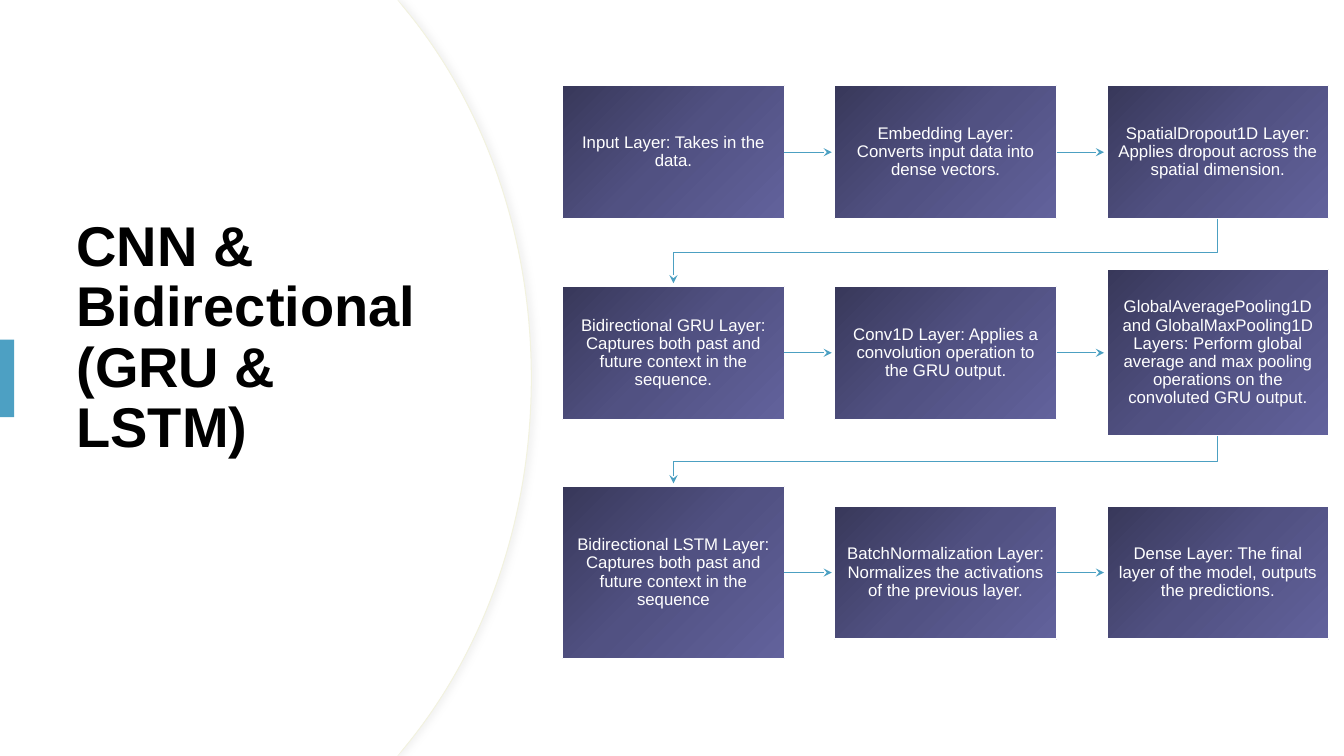
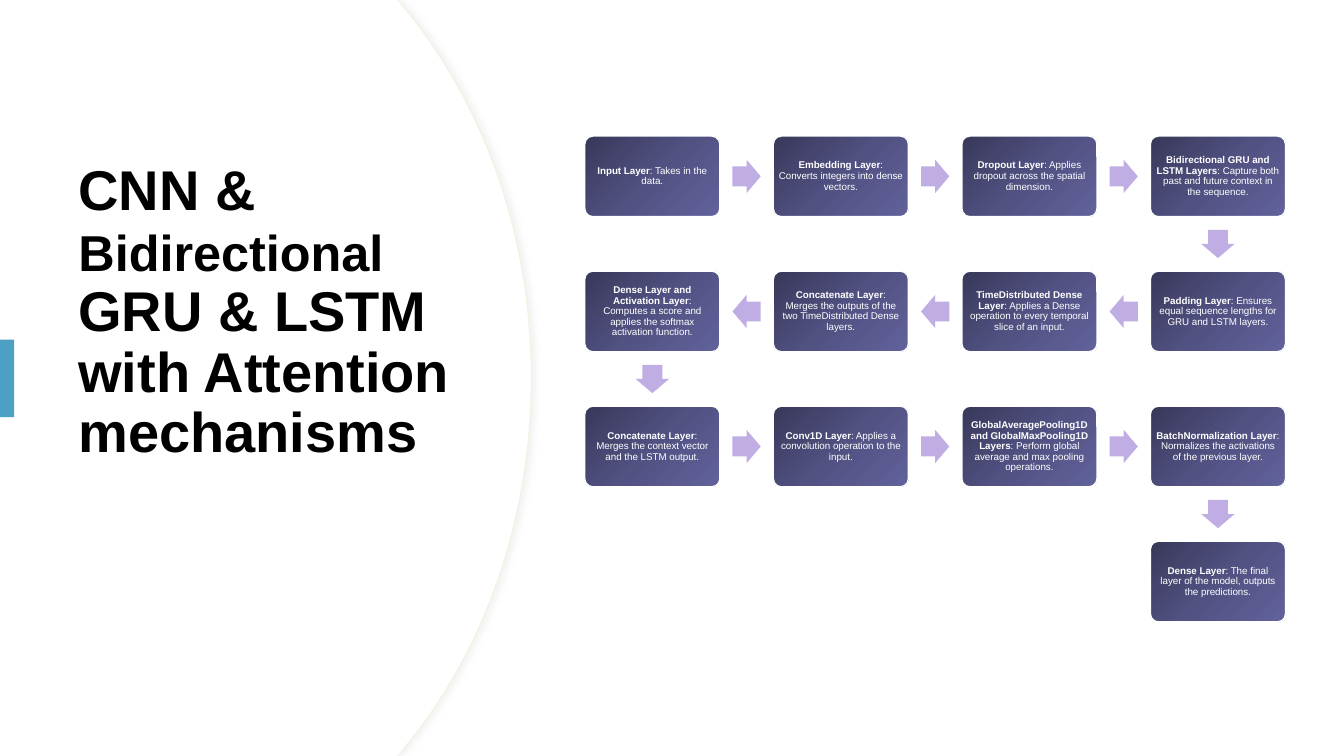
from copy import deepcopy

from lxml import etree
from pptx import Presentation
from pptx import util as u
from pptx.dml.color import RGBColor
from pptx.enum import shapes, text
from pptx.oxml.ns import qn

WHITE = RGBColor(0xFF, 0xFF, 0xFF)
BLACK = RGBColor(0, 0, 0)
CREAM = RGBColor(0xF2, 0xF2, 0xDF)
TEAL = RGBColor(0x4D, 0xA0, 0xC3)
LINE_BLUE = RGBColor(0x4C, 0xA0, 0xC2)
LILAC = RGBColor(0xBF, 0xAD, 0xE3)
BOX_STOPS = [RGBColor(0x38, 0x38, 0x5A), RGBColor(0x51, 0x51, 0x82),
             RGBColor(0x62, 0x62, 0x9C)]
SHADOW = "D8D8D8"
FONT = "Arial"

SLIDE_W, SLIDE_H = 13.33, 7.5
ARC = [(4.01, 0.08), (4.79, 1.02), (5.27, 2.32), (5.27, 3.75)]
ARC_TOP_X = 3.94

FLOW_LEFT, FLOW_PITCH, FLOW_W, FLOW_H = 5.58, 2.7, 2.2, 1.32
ARROW_GAP = 0.03
RETURN_BEND = 0.53
FLOW_ROWS = [
    (1.51, [
        ("Input Layer: Takes in the data.", FLOW_H),
        ("Embedding Layer: Converts input data into dense vectors.", FLOW_H),
        ("SpatialDropout1D Layer: Applies dropout across the spatial "
         "dimension.", FLOW_H)]),
    (3.5, [
        ("Bidirectional GRU Layer: Captures both past and future context in "
         "the sequence.", FLOW_H),
        ("Conv1D Layer: Applies a convolution operation to the GRU output.",
         FLOW_H),
        ("GlobalAveragePooling1D and GlobalMaxPooling1D Layers: Perform "
         "global average and max pooling operations on the convoluted GRU "
         "output.", 1.65)]),
    (5.68, [
        ("Bidirectional LSTM Layer: Captures both past and future context in "
         "the sequence", 1.71),
        ("BatchNormalization Layer: Normalizes the activations of the "
         "previous layer.", FLOW_H),
        ("Dense Layer: The final layer of the model, outputs the "
         "predictions.", FLOW_H)]),
]

SNAKE_COLS = 4
SNAKE_LEFT, SNAKE_TOP = 5.8, 1.35
SNAKE_DX, SNAKE_DY = 1.87, 1.34
SNAKE_W, SNAKE_H = 1.34, 0.8
ARROW_W, ARROW_H = 0.28, 0.33
SNAKE_STEPS = [
    ("Input Layer", "Takes in the data."),
    ("Embedding Layer", "Converts integers into dense vectors."),
    ("Dropout Layer", "Applies dropout across the spatial dimension."),
    ("Bidirectional GRU and LSTM Layers",
     "Capture both past and future context in the sequence."),
    ("Padding Layer", "Ensures equal sequence lengths for GRU and LSTM layers."),
    ("TimeDistributed Dense Layer",
     "Applies a Dense operation to every temporal slice of an input."),
    ("Concatenate Layer",
     "Merges the outputs of the two TimeDistributed Dense layers."),
    ("Dense Layer and Activation Layer",
     "Computes a score and applies the softmax activation function."),
    ("Concatenate Layer", "Merges the context vector and the LSTM output."),
    ("Conv1D Layer", "Applies a convolution operation to the input."),
    ("GlobalAveragePooling1D and GlobalMaxPooling1D Layers",
     "Perform global average and max pooling operations."),
    ("BatchNormalization Layer",
     "Normalizes the activations of the previous layer."),
    ("Dense Layer", "The final layer of the model, outputs the predictions."),
]


def inches(*values):
    return [u.Inches(v) for v in values]


def write(sp, runs, size, color=WHITE, align=text.PP_ALIGN.CENTER,
          inset=(0.11, 0.11)):
    tf = sp.text_frame
    tf.word_wrap = True
    tf.vertical_anchor = text.MSO_ANCHOR.MIDDLE
    tf.margin_left = tf.margin_right = u.Inches(inset[0])
    tf.margin_top = tf.margin_bottom = u.Inches(inset[1])
    p = tf.paragraphs[0]
    p.alignment = align
    p.line_spacing = 0.9
    for words, bold, run_size in runs:
        for i, part in enumerate(words.split("\n")):
            if i:
                p.add_line_break()
            r = p.add_run()
            r.text = part
            r.font.name = FONT
            r.font.size = u.Pt(run_size or size)
            r.font.bold = bold
            r.font.color.rgb = color


def add_solid(s, kind, x, y, w, h, color):
    sp = s.shapes.add_shape(kind, *inches(x, y, w, h))
    sp.shadow.inherit = False
    sp.fill.solid()
    sp.fill.fore_color.rgb = color
    sp.line.fill.background()
    return sp


def add_box(s, kind, x, y, w, h):
    sp = add_solid(s, kind, x, y, w, h, WHITE)
    sp.fill.gradient()
    sp.fill.gradient_angle = 315
    stops = sp.element.spPr.find(".//" + qn("a:gsLst"))
    stops.insert(1, deepcopy(stops[0]))
    for i, (stop, color) in enumerate(zip(sp.fill.gradient_stops, BOX_STOPS)):
        stop.position = i / 2
        stop.color.rgb = color
    sp.line.color.rgb = WHITE
    sp.line.width = u.Pt(1)
    return sp


def add_outline(s, points, close):
    start, *rest = [inches(*pt) for pt in points]
    fb = s.shapes.build_freeform(*start)
    fb.add_line_segments(rest, close=close)
    sp = fb.convert_to_shape()
    sp.shadow.inherit = False
    return sp


def style_arrow(sp):
    sp.line.color.rgb = LINE_BLUE
    sp.line.width = u.Pt(0.75)
    ln = sp.element.spPr.find(qn("a:ln"))
    etree.SubElement(ln, qn("a:tailEnd"), type="stealth")


def add_arrow(s, box, x, y):
    cx = s.shapes.add_connector(shapes.MSO_CONNECTOR.STRAIGHT,
                                *inches(x, y, x, y))
    cx.begin_connect(box, 3)
    cx.end_x, cx.end_y = u.Inches(x), cx.begin_y
    style_arrow(cx)
    etree.SubElement(cx.element.spPr, qn("a:effectLst"))


def add_return_arrow(s, x1, y1, x2, y2):
    mid = y1 + (y2 - y1) * RETURN_BEND
    sp = add_outline(s, [(x1, y1), (x1, mid), (x2, mid), (x2, y2)], False)
    sp.fill.background()
    style_arrow(sp)


def bend_segments(sp, first, count):
    lines = list(sp.element.spPr.iter(qn("a:lnTo")))
    for i in range(first, first + 3 * count, 3):
        curve = etree.Element(qn("a:cubicBezTo"))
        lines[i].addprevious(curve)
        for line in lines[i:i + 3]:
            curve.append(line[0])
            line.getparent().remove(line)


def add_panel(s, shift):
    upper = [(x - shift, y) for x, y in ARC]
    lower = [(x, SLIDE_H - y) for x, y in reversed(upper[:-1])]
    points = [(0, 0), (ARC_TOP_X, 0), *upper, *lower,
              (ARC_TOP_X, SLIDE_H), (0, SLIDE_H)]
    sp = add_outline(s, points, True)
    bend_segments(sp, 2, 2)
    sp.fill.solid()
    sp.fill.fore_color.rgb = WHITE
    sp.line.fill.background()
    return sp


def add_edged_panel(s):
    sp = add_panel(s, 0)
    sp.line.color.rgb = CREAM
    sp.line.width = u.Pt(0.75)
    effects = sp.element.spPr.find(qn("a:effectLst"))
    shadow = etree.SubElement(effects, qn("a:outerShdw"), dir="0",
                              blurRad=str(u.Pt(4)), dist=str(u.Pt(3)),
                              algn="l", rotWithShape="0")
    color = etree.SubElement(shadow, qn("a:srgbClr"), val=SHADOW)
    etree.SubElement(color, qn("a:alpha"), val="30000")


def add_base(prs, x, y, h, runs):
    s = prs.slides.add_slide(prs.slide_layouts[6])
    add_solid(s, shapes.MSO_SHAPE.RECTANGLE, 0, 0, SLIDE_W, SLIDE_H, WHITE)
    add_edged_panel(s)
    add_panel(s, 0.01)
    title = s.shapes.add_textbox(*inches(x, y, 3.94, h))
    write(title, runs, 40, BLACK, text.PP_ALIGN.LEFT, (0.1, 0.05))
    add_solid(s, shapes.MSO_SHAPE.RECTANGLE, 0, 3.37, 0.14, 0.77, TEAL)
    return s


def add_flow(s):
    start_x = FLOW_LEFT + FLOW_W / 2
    end_x = start_x + 2 * FLOW_PITCH
    bottom = None
    for middle, cells in FLOW_ROWS:
        if bottom is not None:
            first_top = middle - cells[0][1] / 2
            add_return_arrow(s, end_x, bottom, start_x, first_top - ARROW_GAP)
        for col, (words, h) in enumerate(cells):
            x = FLOW_LEFT + col * FLOW_PITCH
            box = add_box(s, shapes.MSO_SHAPE.RECTANGLE,
                          x, middle - h / 2, FLOW_W, h)
            write(box, [(words, False, None)], 12)
            if col < len(cells) - 1:
                add_arrow(s, box, x + FLOW_PITCH - ARROW_GAP, middle)
        bottom = middle + cells[-1][1] / 2


def snake_center(i):
    row, col = divmod(i, SNAKE_COLS)
    if row % 2:
        col = SNAKE_COLS - 1 - col
    return (SNAKE_LEFT + col * SNAKE_DX + SNAKE_W / 2,
            SNAKE_TOP + row * SNAKE_DY + SNAKE_H / 2)


def add_block_arrow(s, start, end):
    x, y = [(a + b) / 2 for a, b in zip(start, end)]
    sp = add_solid(s, shapes.MSO_SHAPE.RIGHT_ARROW, x - ARROW_W / 2,
                   y - ARROW_H / 2, ARROW_W, ARROW_H, LILAC)
    sp.adjustments[0], sp.adjustments[1] = 0.6, 0.5
    if end[1] > start[1]:
        sp.rotation = 90
    elif end[0] < start[0]:
        sp.rotation = 180


def add_snake(s):
    for i, (name, detail) in enumerate(SNAKE_STEPS):
        x, y = snake_center(i)
        box = add_box(s, shapes.MSO_SHAPE.ROUNDED_RECTANGLE,
                      x - SNAKE_W / 2, y - SNAKE_H / 2, SNAKE_W, SNAKE_H)
        box.adjustments[0] = 0.1
        write(box, [(name, True, None), (": " + detail, False, None)], 7,
              inset=(0.03, 0.03))
        if i < len(SNAKE_STEPS) - 1:
            add_block_arrow(s, (x, y), snake_center(i + 1))


def main():
    prs = Presentation()
    prs.slide_width, prs.slide_height = inches(SLIDE_W, SLIDE_H)
    add_flow(add_base(prs, 0.66, 1.22, 4.28, [
        ("CNN & Bidirectional\n(GRU & LSTM)", True, None)]))
    add_snake(add_base(prs, 0.68, 1.27, 3.68, [
        ("CNN & ", True, None), ("Bidirectional", True, 36),
        (" GRU & LSTM with Attention mechanisms", True, None)]))
    prs.save("out.pptx")


if __name__ == "__main__":
    main()
